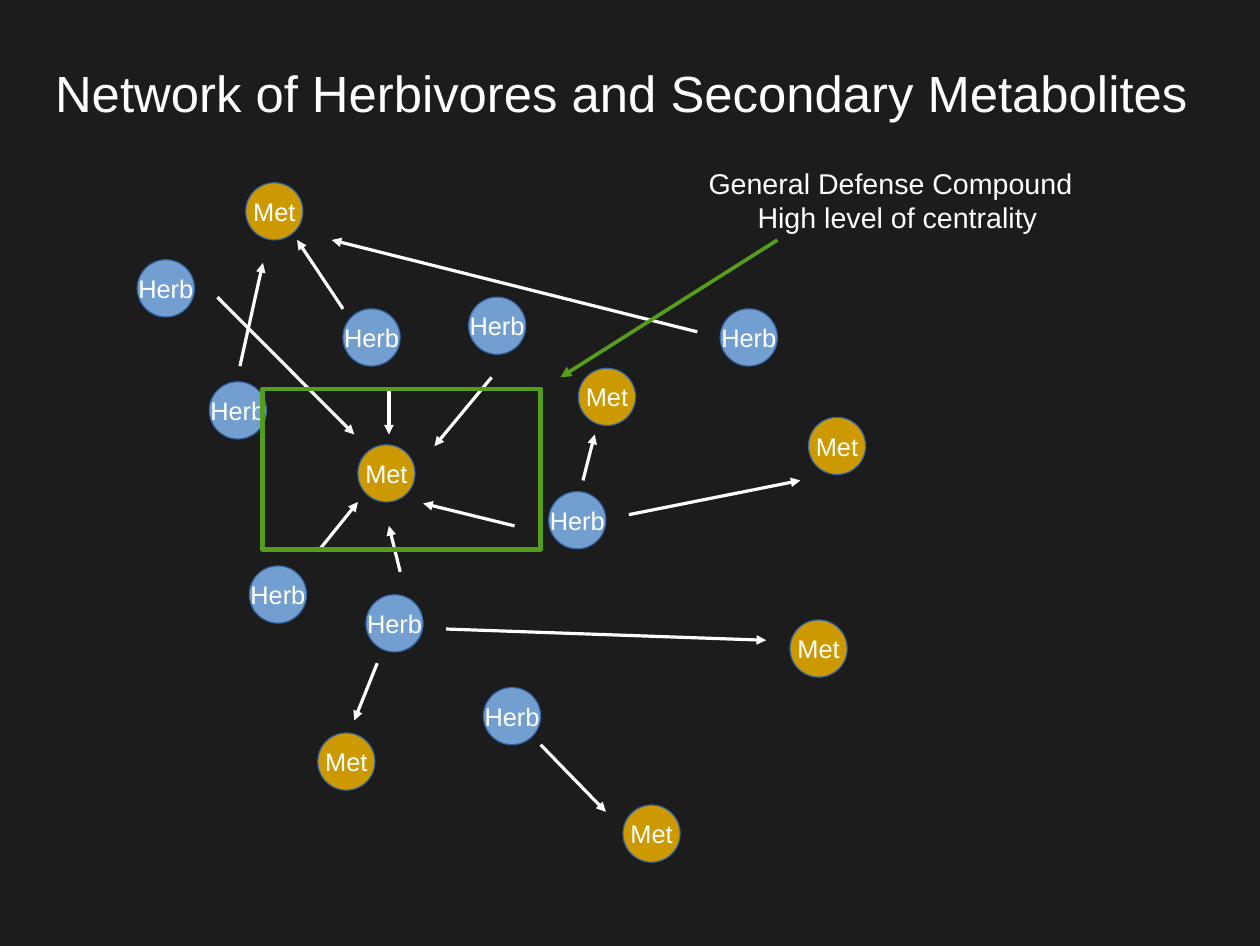
from pptx import Presentation
from pptx.dml.color import RGBColor
from pptx.enum.shapes import MSO_CONNECTOR, MSO_SHAPE
from pptx.enum.text import MSO_ANCHOR, MSO_AUTO_SIZE, PP_ALIGN
from pptx.oxml.ns import qn
from pptx.util import Cm, Pt
from lxml.etree import SubElement

TITLE = "Network of Herbivores and Secondary Metabolites"
NOTE = [("General Defense Compound", PP_ALIGN.LEFT),
        ("High level of centrality", PP_ALIGN.CENTER)]
WHITE, GREEN, EDGE = "FFFFFF", "579D1C", "3465A4"
SIZE = 1.27

NODES = [
    ("Herb", "729FCF", [
        (7.62, 6.86), (16, 6.86), (12.19, 10.92), (10.41, 6.6), (5.54, 12.57),
        (4.65, 8.48), (8.13, 13.21), (10.74, 15.27), (3.05, 5.77)]),
    ("Met", "CC9900", [
        (17.55, 13.77), (12.85, 8.18), (7.06, 16.28), (17.96, 9.27),
        (7.95, 9.88), (13.84, 17.88), (5.46, 4.06)]),
]
LINKS = [
    (7.62, 6.86, 6.6, 5.33), (5.33, 8.13, 5.84, 5.84),
    (4.83, 6.6, 7.87, 9.65), (8.64, 8.64, 8.64, 9.65),
    (10.92, 8.38, 9.65, 9.91), (7.11, 12.19, 7.95, 11.15),
    (11.43, 11.68, 9.4, 11.18), (12.01, 16.54, 13.46, 18.03),
    (8.38, 14.73, 7.87, 16), (13.97, 11.43, 17.78, 10.67),
    (12.95, 10.67, 13.21, 9.65), (8.89, 12.7, 8.64, 11.68),
    (15.49, 7.37, 7.37, 5.33), (9.91, 13.97, 17.02, 14.22),
]
FRAME = (5.84, 8.64, 6.17, 3.56)
POINTER = (17.27, 5.33, 12.45, 8.38)


def color(code):
    return RGBColor.from_string(code)


def cms(nums):
    return [Cm(n) for n in nums]


def write(shape, lines, size=16, anchor=MSO_ANCHOR.MIDDLE, wrap=True, inset=None):
    frame = shape.text_frame
    frame.auto_size = MSO_AUTO_SIZE.NONE
    frame.word_wrap = wrap
    frame.vertical_anchor = anchor
    if inset is not None:
        frame.margin_left = frame.margin_right = Cm(inset)
        frame.margin_top = frame.margin_bottom = Cm(inset)
    for i, (text, align) in enumerate(lines):
        para = frame.add_paragraph() if i else frame.paragraphs[0]
        para.alignment = align
        run = para.add_run()
        run.text = text
        run.font.name = "Arial"
        run.font.size = Pt(size)
        run.font.color.rgb = color(WHITE)


def draw(shapes, kind, box, fill, line, width):
    shape = shapes.add_shape(kind, *cms(box))
    shape.shadow.inherit = False
    if fill:
        shape.fill.solid()
        shape.fill.fore_color.rgb = color(fill)
    else:
        shape.fill.background()
    shape.line.color.rgb = color(line)
    shape.line.width = Pt(width)
    return shape


def arrow(shapes, ends, line, width):
    link = shapes.add_connector(MSO_CONNECTOR.STRAIGHT, *cms(ends))
    link.line.color.rgb = color(line)
    link.line.width = Pt(width)
    props = link.element.spPr
    SubElement(props.find(qn("a:ln")), qn("a:tailEnd"), type="triangle")
    SubElement(props, qn("a:effectLst"))


def main():
    deck = Presentation()
    deck.slide_width, deck.slide_height = cms((27.99, 21.01))
    slide = deck.slides.add_slide(deck.slide_layouts[5])
    slide.background.fill.solid()
    slide.background.fill.fore_color.rgb = color("1C1C1C")
    shapes = slide.shapes

    title = shapes.title
    title.left, title.top, title.width, title.height = cms((1.22, 0.3, 25.2, 3.51))
    write(title, [(TITLE, PP_ALIGN.CENTER)], size=32, inset=0)

    for name, fill, spots in NODES:
        for x, y in spots:
            node = draw(shapes, MSO_SHAPE.OVAL, (x, y, SIZE, SIZE), fill, EDGE, 0)
            write(node, [(name, PP_ALIGN.CENTER)], wrap=False)
    for ends in LINKS:
        arrow(shapes, ends, WHITE, 0)

    draw(shapes, MSO_SHAPE.RECTANGLE, FRAME, None, GREEN, 3)
    arrow(shapes, POINTER, GREEN, 2.3)
    note = shapes.add_textbox(*cms((15.49, 3.56, 8.89, 1.68)))
    write(note, NOTE, size=18, anchor=MSO_ANCHOR.TOP)
    deck.save("out.pptx")


if __name__ == "__main__":
    main()
